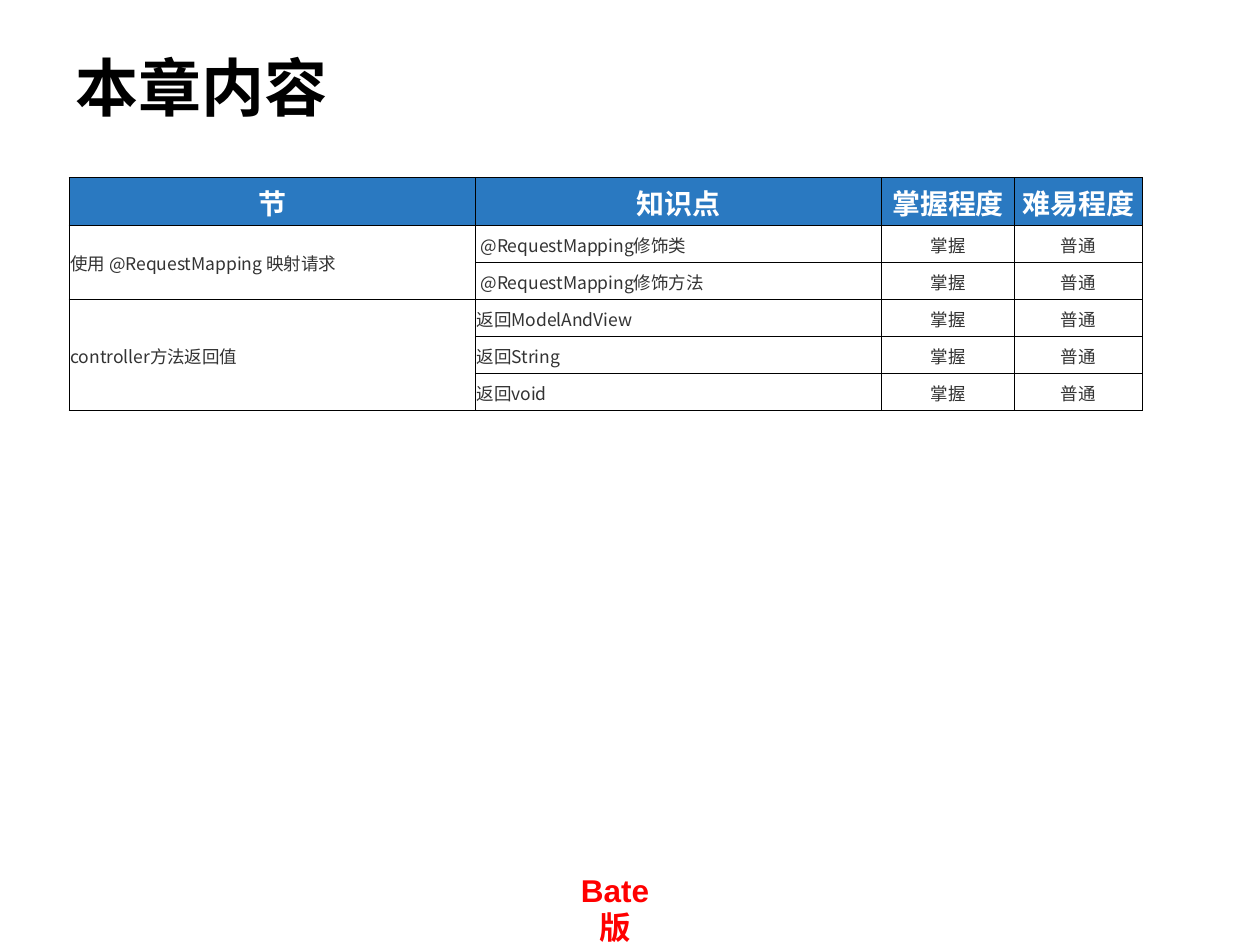
from dataclasses import dataclass

from lxml import etree
from pptx import Presentation
from pptx.dml.color import RGBColor
from pptx.enum.text import MSO_ANCHOR, PP_ALIGN
from pptx.oxml.ns import qn
from pptx.util import Pt

LEFT, CENTER = PP_ALIGN.LEFT, PP_ALIGN.CENTER
TOP, MIDDLE = MSO_ANCHOR.TOP, MSO_ANCHOR.MIDDLE


@dataclass(frozen=True)
class Theme:
    black: str = "000000"
    white: str = "FFFFFF"
    red: str = "FF0000"
    header_blue: str = "2A79C1"
    body_gray: str = "333333"
    title_size: float = 36
    label_size: float = 18
    header_size: float = 16
    body_size: float = 10
    border_width: float = 0.5
    cjk_font: str = "Noto Sans CJK SC"
    level_font: str = "Times New Roman"
    label_font: str = "Arial"


THEME = Theme()


@dataclass(frozen=True)
class TextStyle:
    size: float
    color: str
    font: str = THEME.cjk_font
    bold: bool = False
    align: PP_ALIGN = LEFT


@dataclass(frozen=True)
class TextBox:
    text: str
    left: float
    top: float
    width: float
    height: float
    style: TextStyle
    anchor: MSO_ANCHOR
    margin_left: float
    margin_right: float


@dataclass(frozen=True)
class Section:
    name: str
    topics: tuple[str, ...]


HEADER = TextStyle(THEME.header_size, THEME.white, bold=True, align=CENTER)
TOPIC = TextStyle(THEME.body_size, THEME.body_gray)
LEVEL = TextStyle(THEME.body_size, THEME.body_gray, THEME.level_font, align=CENTER)

TEXT_BOXES = (
    TextBox("Bate版", 324, 494, 72, 28.8,
            TextStyle(THEME.label_size, THEME.red, THEME.label_font, True, CENTER),
            TOP, 0, 17),
    TextBox("本章内容", 36, 21.6, 573.8, 55.4,
            TextStyle(THEME.title_size, THEME.black, bold=True),
            MIDDLE, 7.2, 7.2),
)

HEADINGS = ("节", "知识点", "掌握程度", "难易程度")
SECTIONS = (
    Section("使用 @RequestMapping 映射请求",
            (" @RequestMapping修饰类", " @RequestMapping修饰方法")),
    Section("controller方法返回值",
            ("返回ModelAndView", "返回String", "返回void")),
)
MASTERY, DIFFICULTY = "掌握", "普通"

TABLE_LEFT, TABLE_TOP = 39.5, 101.4
COLUMN_WIDTHS = (232.2, 232.2, 75.9, 72.9)
HEADER_HEIGHT, ROW_HEIGHT = 27.5, 21.15
CELL_FORMAT = {
    "margin_left": Pt(0.75),
    "margin_right": Pt(0.75),
    "margin_top": Pt(0.75),
    "margin_bottom": Pt(0),
    "vertical_anchor": MIDDLE,
}


def write_text(text_frame, text: str, style: TextStyle) -> None:
    paragraph = text_frame.paragraphs[0]
    paragraph.alignment = style.align
    run = paragraph.add_run()
    run.text = text
    font_format = {"size": Pt(style.size), "bold": style.bold, "name": style.font}
    for name, value in font_format.items():
        setattr(run.font, name, value)
    run.font.color.rgb = RGBColor.from_string(style.color)
    east_asian = etree.Element(qn("a:ea"), typeface=THEME.cjk_font)
    run.font._element.find(qn("a:latin")).addnext(east_asian)


def add_text_box(slide, box: TextBox) -> None:
    shape = slide.shapes.add_textbox(
        Pt(box.left), Pt(box.top), Pt(box.width), Pt(box.height))
    frame_format = {
        "word_wrap": True,
        "vertical_anchor": box.anchor,
        "margin_left": Pt(box.margin_left),
        "margin_right": Pt(box.margin_right),
    }
    for name, value in frame_format.items():
        setattr(shape.text_frame, name, value)
    write_text(shape.text_frame, box.text, box.style)


def add_borders(cell) -> None:
    properties = cell._tc.get_or_add_tcPr()
    for side in ("lnL", "lnR", "lnT", "lnB"):
        line = etree.SubElement(
            properties, qn(f"a:{side}"), w=str(Pt(THEME.border_width)))
        fill = etree.SubElement(line, qn("a:solidFill"))
        etree.SubElement(fill, qn("a:srgbClr"), val=THEME.black)


def format_cell(cell, fill_color: str) -> None:
    for name, value in CELL_FORMAT.items():
        setattr(cell, name, value)
    add_borders(cell)
    cell.fill.solid()
    cell.fill.fore_color.rgb = RGBColor.from_string(fill_color)


def add_chapter_table(slide) -> None:
    topic_count = sum(len(section.topics) for section in SECTIONS)
    heights = (HEADER_HEIGHT,) + (ROW_HEIGHT,) * topic_count
    table = slide.shapes.add_table(
        len(heights), len(HEADINGS), Pt(TABLE_LEFT), Pt(TABLE_TOP),
        Pt(sum(COLUMN_WIDTHS)), Pt(sum(heights))).table
    for column, width in zip(table.columns, COLUMN_WIDTHS):
        column.width = Pt(width)
    for index, height in enumerate(heights):
        table.rows[index].height = Pt(height)
        for cell in table.rows[index].cells:
            format_cell(cell, THEME.white if index else THEME.header_blue)

    for column, heading in enumerate(HEADINGS):
        write_text(table.cell(0, column).text_frame, heading, HEADER)
    row = 1
    for section in SECTIONS:
        last_row = row + len(section.topics) - 1
        table.cell(row, 0).merge(table.cell(last_row, 0))
        write_text(table.cell(row, 0).text_frame, section.name, TOPIC)
        for row, topic in enumerate(section.topics, start=row):
            write_text(table.cell(row, 1).text_frame, topic, TOPIC)
            write_text(table.cell(row, 2).text_frame, MASTERY, LEVEL)
            write_text(table.cell(row, 3).text_frame, DIFFICULTY, LEVEL)
        row = last_row + 1


def main() -> None:
    presentation = Presentation()
    presentation.slide_width, presentation.slide_height = Pt(720), Pt(540)
    slide = presentation.slides.add_slide(presentation.slide_layouts[6])
    for box in TEXT_BOXES:
        add_text_box(slide, box)
    add_chapter_table(slide)
    presentation.save("out.pptx")


if __name__ == "__main__":
    main()
